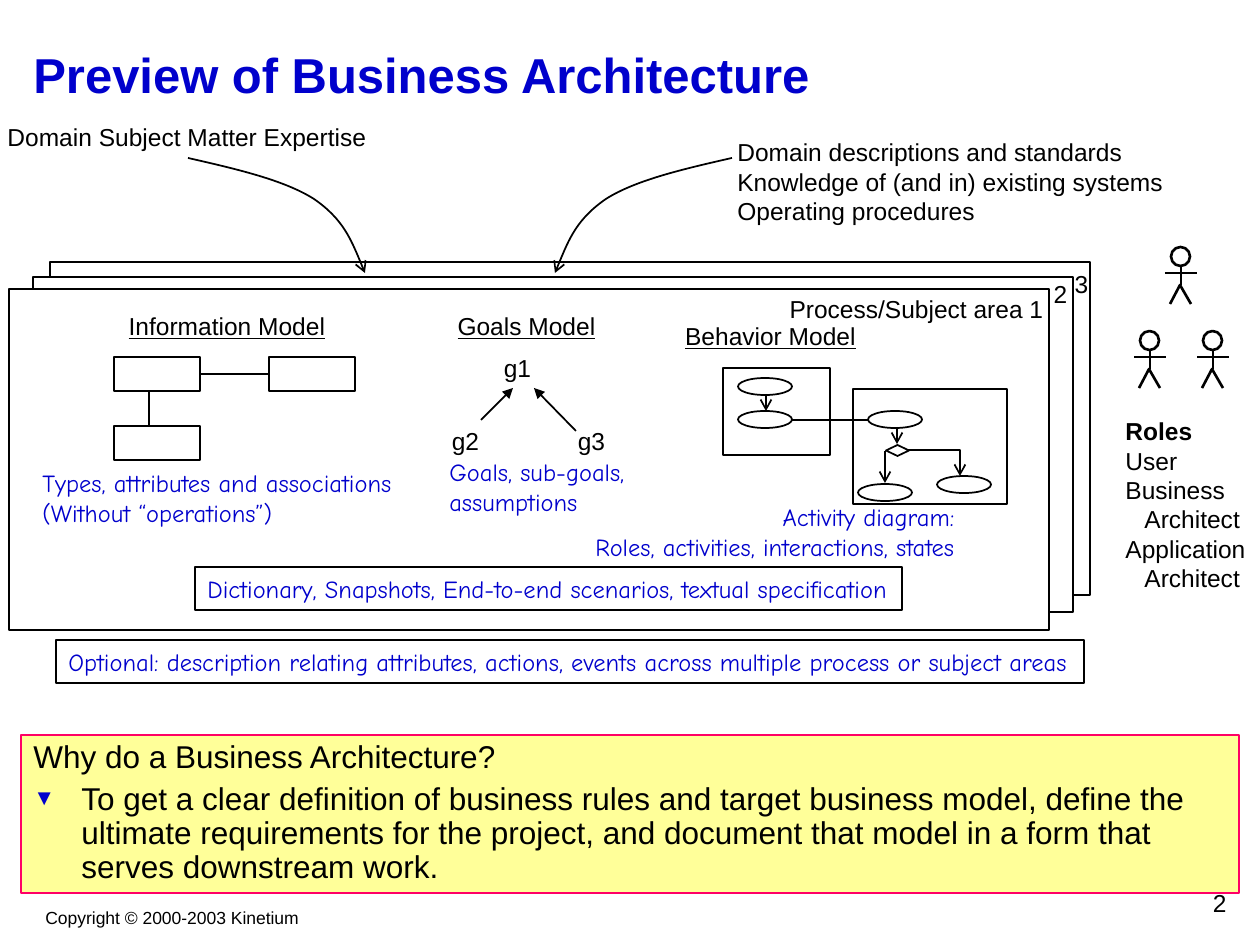
from dataclasses import dataclass

import pptx
import pptx.util
from pptx.dml.color import RGBColor
from pptx.enum.shapes import MSO_CONNECTOR, MSO_SHAPE
from pptx.enum.text import MSO_ANCHOR, MSO_AUTO_SIZE, PP_ALIGN
from pptx.oxml import parse_xml
from pptx.oxml.ns import nsdecls, qn

EMU_PER_PX = 914400 / 126


@dataclass(frozen=True)
class Theme:
    ink: str = "000000"
    blue: str = "0000CC"
    paper: str = "FFFFFF"
    pink: str = "FF0066"
    yellow: str = "FFFF99"
    font: str = "Arial"
    note_font: str = "Comic Neue"
    title_size: int = 28
    body_size: int = 18
    label_size: int = 14
    footer_size: int = 10
    thin: float = 1
    thick: float = 1.5


THEME = Theme()


def px(value):
    return pptx.util.Emu(round(value * EMU_PER_PX))


def rgb(color):
    return RGBColor.from_string(color)


def write(shape, lines, size=THEME.label_size, font=THEME.font, color=THEME.ink,
          align=PP_ALIGN.LEFT, bold=False, underline=False, wrap=False):
    frame = shape.text_frame
    frame.text = "\n".join(lines)
    frame.word_wrap = wrap
    frame.auto_size = MSO_AUTO_SIZE.NONE if wrap else MSO_AUTO_SIZE.SHAPE_TO_FIT_TEXT
    for paragraph in frame.paragraphs:
        paragraph.alignment = align
        for run in paragraph.runs:
            run.font.size = pptx.util.Pt(size)
            run.font.name = font
            run.font.color.rgb = rgb(color)
            run.font.bold = bold
            run.font.underline = underline
    return frame


def add_label(slide, x, y, width, height, *lines, **style):
    box = slide.shapes.add_textbox(px(x), px(y), px(width), px(height))
    return write(box, lines, **style)


def add_note(slide, x, y, width, *lines, **style):
    return add_label(slide, x, y, width, 72, *lines,
                     font=THEME.note_font, color=THEME.blue, **style)


def paint(shape, fill, line, weight):
    shape.shadow.inherit = False
    if fill:
        shape.fill.solid()
        shape.fill.fore_color.rgb = rgb(fill)
    else:
        shape.fill.background()
    shape.line.color.rgb = rgb(line)
    shape.line.width = pptx.util.Pt(weight)


def add_box(slide, x, y, width, height, kind=MSO_SHAPE.RECTANGLE,
            fill=THEME.paper, line=THEME.ink, weight=THEME.thin):
    shape = slide.shapes.add_shape(kind, px(x), px(y), px(width), px(height))
    paint(shape, fill, line, weight)
    return shape


def add_note_box(slide, x, y, width, text):
    box = add_box(slide, x, y, width, 43)
    write(box, [text], font=THEME.note_font, color=THEME.blue)


def add_arrowhead(shape, head):
    shape._element.spPr.find(qn("a:ln")).append(
        parse_xml(f'<a:tailEnd {nsdecls("a")} type="{head}"/>'))


def add_line(slide, x1, y1, x2, y2, head=None, weight=THEME.thin):
    line = slide.shapes.add_connector(MSO_CONNECTOR.STRAIGHT, px(x1), px(y1), px(x2), px(y2))
    line.line.color.rgb = rgb(THEME.ink)
    line.line.width = pptx.util.Pt(weight)
    if head:
        add_arrowhead(line, head)
    line._element.spPr.append(parse_xml(f'<a:effectLst {nsdecls("a")}/>'))
    return line


def add_outline(slide, points, fill=None, weight=THEME.thin):
    builder = slide.shapes.build_freeform(*points[0], scale=EMU_PER_PX)
    builder.add_line_segments(points[1:], close=False)
    outline = builder.convert_to_shape()
    paint(outline, fill, THEME.ink, weight)
    return outline


def add_curved_arrow(slide, points):
    """Bend an outline into cubic curves: a start, then three points per curve."""
    arrow = add_outline(slide, points)
    segments = list(arrow._element.iter(qn("a:lnTo")))
    for start in range(0, len(segments), 3):
        curve = parse_xml(f'<a:cubicBezTo {nsdecls("a")}/>')
        segments[start].addprevious(curve)
        for segment in segments[start:start + 3]:
            curve.append(segment[0])
            segment.getparent().remove(segment)
    add_arrowhead(arrow, "arrow")


def add_person(slide, center, top):
    add_box(slide, center - 10, top, 19, 19, MSO_SHAPE.OVAL, weight=THEME.thick)
    add_line(slide, center, top + 19, center, top + 38, weight=THEME.thick)
    add_line(slide, center - 16, top + 26, center + 16, top + 26, weight=THEME.thick)
    add_outline(slide, [(center - 11, top + 57), (center - 1, top + 38), (center + 10, top + 57)],
                THEME.paper, THEME.thick)


def add_subject_areas(slide):
    for x, y, height in ((50, 262, 333), (33, 277, 335), (9, 289, 341)):
        add_box(slide, x, y, 1040, height)
    add_label(slide, 774, 288, 282, 43, "Process/Subject area 1", align=PP_ALIGN.RIGHT)
    for number, x, y in (("2", 1041, 273), ("3", 1062, 263)):
        add_label(slide, x, y, 39, 43, number, align=PP_ALIGN.CENTER)


def add_information_model(slide):
    add_label(slide, 114, 305, 226, 43, "Information Model",
              align=PP_ALIGN.CENTER, underline=True)
    first, second, _ = [add_box(slide, x, y, 86, 34)
                        for x, y in ((114, 357), (269, 357), (114, 426))]
    association = add_line(slide, 200, 374, 269, 374)
    association.begin_connect(first, 3)
    association.end_connect(second, 1)
    add_line(slide, 149, 391, 149, 426)
    add_note(slide, 30, 462, 375, "Types, attributes and associations", "(Without “operations”)")


def add_goals_model(slide):
    add_label(slide, 443, 305, 167, 43, "Goals Model", align=PP_ALIGN.CENTER, underline=True)
    for goal, x, y in (("g1", 489, 347), ("g2", 437, 420), ("g3", 563, 420)):
        add_label(slide, x, y, 57, 43, goal, align=PP_ALIGN.CENTER)
    add_line(slide, 481, 420, 513, 388, "triangle")
    add_line(slide, 576, 431, 534, 388, "triangle")
    add_note(slide, 437, 451, 200, "Goals, sub-goals,", "assumptions")


def add_behavior_model(slide):
    add_label(slide, 669, 315, 203, 43, "Behavior Model", align=PP_ALIGN.CENTER, underline=True)
    add_box(slide, 723, 368, 107, 87)
    add_box(slide, 853, 389, 154, 115, fill=None)
    for x, y in ((738, 378), (738, 411), (868, 411), (858, 484), (937, 476)):
        add_box(slide, x, y, 54, 17, MSO_SHAPE.OVAL)
    add_box(slide, 886, 445, 23, 11, MSO_SHAPE.DIAMOND, fill=None)
    for x, top, bottom in ((766, 394, 411), (897, 427, 444), (885, 451, 483)):
        add_line(slide, x, top, x, bottom, "arrow")
    branch = add_outline(slide, [(907, 450), (960, 450), (960, 476)])
    add_arrowhead(branch, "arrow")
    add_line(slide, 791, 420, 868, 420)
    add_note(slide, 580, 496, 387, "Activity diagram:",
             "Roles, activities, interactions, states", align=PP_ALIGN.RIGHT)


def add_inputs(slide):
    add_label(slide, -5, 116, 384, 43, "Domain Subject Matter Expertise", align=PP_ALIGN.RIGHT)
    add_label(slide, 725, 131, 451, 101, "Domain descriptions and standards",
              "Knowledge of (and in) existing systems", "Operating procedures")
    expertise = [(188, 158), (236, 169), (284, 180), (314, 199),
                 (343, 219), (354, 246), (365, 273)]
    add_curved_arrow(slide, expertise)
    add_curved_arrow(slide, [(920 - x, y) for x, y in expertise])


def add_roles(slide):
    for center, top in ((1150, 331), (1213, 331), (1181, 247)):
        add_person(slide, center, top)
    roles = add_label(slide, 1113, 410, 145, 189, "Roles", "User", "Business", "Architect",
                      "Application", "Architect")
    roles.paragraphs[0].runs[0].font.bold = True
    for paragraph in roles.paragraphs:
        if paragraph.text == "Architect":
            paragraph._p.get_or_add_pPr().set("marL", str(px(19)))


def add_rationale(slide):
    panel = add_box(slide, 21, 735, 1218, 158, fill=THEME.yellow,
                    line=THEME.pink, weight=THEME.thick)
    frame = write(panel, [
        "Why do a Business Architecture?",
        "To get a clear definition of business rules and target business model, define the "
        "ultimate requirements for the project, and document that model in a form that "
        "serves downstream work."], size=THEME.body_size, wrap=True)
    frame.vertical_anchor = MSO_ANCHOR.TOP
    reason = frame.paragraphs[1]
    properties = reason._p.get_or_add_pPr()
    properties.set("marL", str(px(48)))
    properties.set("indent", str(px(-48)))
    for bullet in (f'<a:buClr {nsdecls("a")}><a:srgbClr val="{THEME.blue}"/></a:buClr>',
                   f'<a:buSzPct {nsdecls("a")} val="70000"/>',
                   f'<a:buFont {nsdecls("a")} typeface="{THEME.font}"/>',
                   f'<a:buChar {nsdecls("a")} char="▼"/>'):
        properties.append(parse_xml(bullet))
    reason.space_before = pptx.util.Pt(4.5)
    for paragraph in frame.paragraphs:
        paragraph.line_spacing = 0.9


def main():
    deck = pptx.Presentation()
    deck.slide_width, deck.slide_height = px(1260), px(945)
    slide = deck.slides.add_slide(deck.slide_layouts[6])
    title = add_label(slide, 21, 21, 1218, 105, "Preview of Business Architecture",
                      size=THEME.title_size, color=THEME.blue, bold=True, wrap=True)
    title.vertical_anchor = MSO_ANCHOR.MIDDLE
    add_rationale(slide)
    add_subject_areas(slide)
    add_information_model(slide)
    add_behavior_model(slide)
    add_goals_model(slide)
    add_inputs(slide)
    add_note_box(slide, 195, 567, 707,
                 "Dictionary, Snapshots, End-to-end scenarios, textual specification")
    add_note_box(slide, 56, 640, 1028, "Optional: description relating attributes, actions, "
                 "events across multiple process or subject areas")
    add_roles(slide)
    add_label(slide, 33, 901, 278, 34, "Copyright © 2000-2003 Kinetium",
              size=THEME.footer_size, align=PP_ALIGN.CENTER)
    add_label(slide, 977, 882, 262, 42, "2", align=PP_ALIGN.RIGHT, wrap=True)
    deck.save("out.pptx")


if __name__ == "__main__":
    main()
